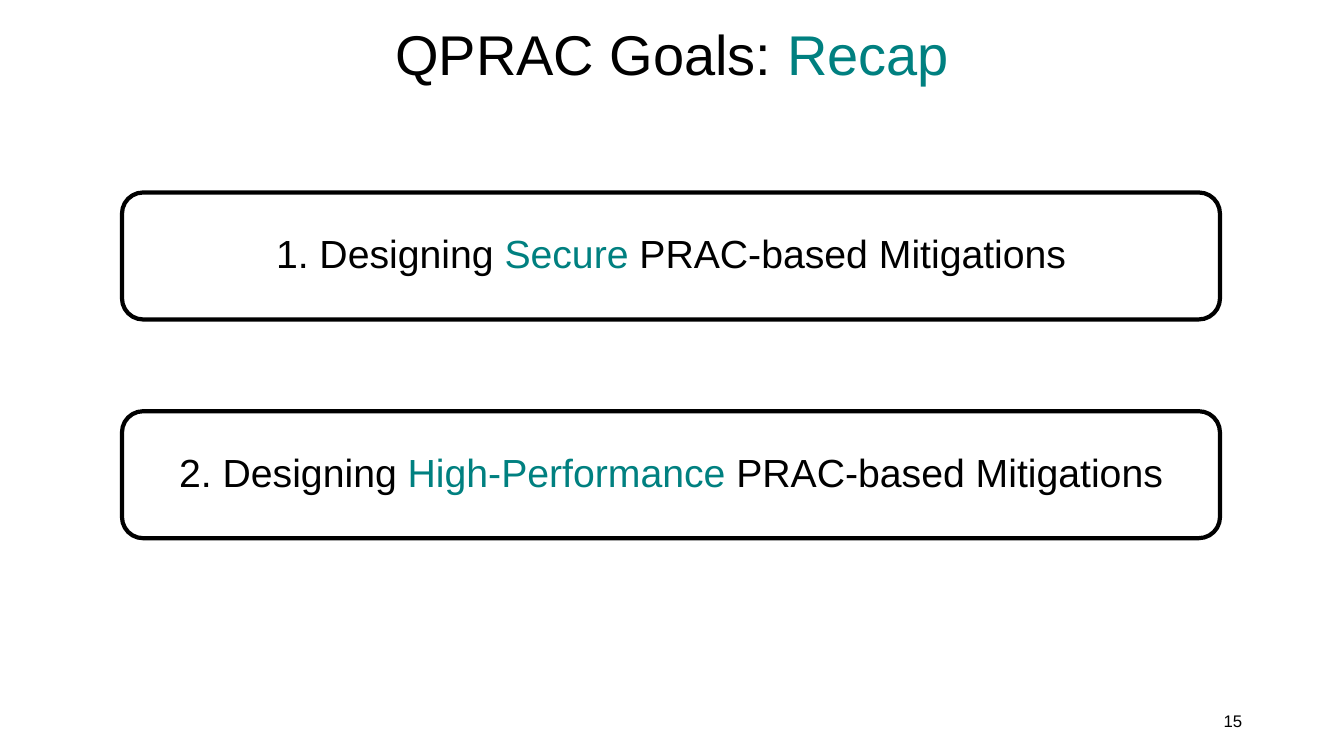
from pptx import Presentation
from pptx.dml.color import RGBColor
from pptx.enum.shapes import MSO_SHAPE
from pptx.enum.text import MSO_ANCHOR, PP_ALIGN
from pptx.util import Inches, Pt

FONT = "Arial"
BLACK, TEAL, WHITE = "000000", "008080", "FFFFFF"
SLIDE_W, SLIDE_H = 13.33, 7.5

# Goal boxes: one column, equal row pitch
BOX_LEFT, BOX_TOP = 1.21, 1.91
BOX_W, BOX_H = 10.89, 1.26
ROW_PITCH = 2.17

GOALS = ["Secure", "High-Performance"]


def rgb(color):
    return RGBColor.from_string(color)


def place(sp, left, top, width, height):
    sp.left, sp.top = Inches(left), Inches(top)
    sp.width, sp.height = Inches(width), Inches(height)


def write(sp, parts, size, align=PP_ALIGN.CENTER, spacing=None):
    """Fill a shape with one paragraph of (text, color) parts."""
    tf = sp.text_frame
    tf.word_wrap = True
    tf.vertical_anchor = MSO_ANCHOR.MIDDLE
    p = tf.paragraphs[0]
    p.alignment = align
    p.line_spacing = spacing
    for text, color in parts:
        r = p.add_run()
        r.text = text
        r.font.name = FONT
        r.font.size = Pt(size)
        r.font.color.rgb = rgb(color)


def add_title(s, parts):
    sp = s.shapes.title
    place(sp, 0, 0.15, SLIDE_W, 0.84)
    write(sp, parts, 40, spacing=0.9)


def add_goal(s, row, goal):
    sp = s.shapes.add_shape(MSO_SHAPE.ROUNDED_RECTANGLE, 0, 0, 0, 0)
    place(sp, BOX_LEFT, BOX_TOP + row * ROW_PITCH, BOX_W, BOX_H)
    sp.shadow.inherit = False
    sp.fill.solid()
    sp.fill.fore_color.rgb = rgb(WHITE)
    sp.line.color.rgb = rgb(BLACK)
    sp.line.width = Pt(3)
    parts = [(f"{row + 1}. Designing ", BLACK), (f"{goal} ", TEAL),
             ("PRAC-based Mitigations", BLACK)]
    write(sp, parts, 28, spacing=0.9)


def add_page_number(s, number):
    sp = s.shapes.add_textbox(0, 0, 0, 0)
    place(sp, 9.42, 6.95, 3, 0.4)
    write(sp, [(number, BLACK)], 12, align=PP_ALIGN.RIGHT)


def main():
    prs = Presentation()
    prs.slide_width, prs.slide_height = Inches(SLIDE_W), Inches(SLIDE_H)
    s = prs.slides.add_slide(prs.slide_layouts.get_by_name("Title Only"))

    # Title
    add_title(s, [("QPRAC Goals: ", BLACK), ("Recap", TEAL)])

    # Goals
    for row, goal in enumerate(GOALS):
        add_goal(s, row, goal)

    # Footer
    add_page_number(s, "15")

    prs.save("out.pptx")


if __name__ == "__main__":
    main()
